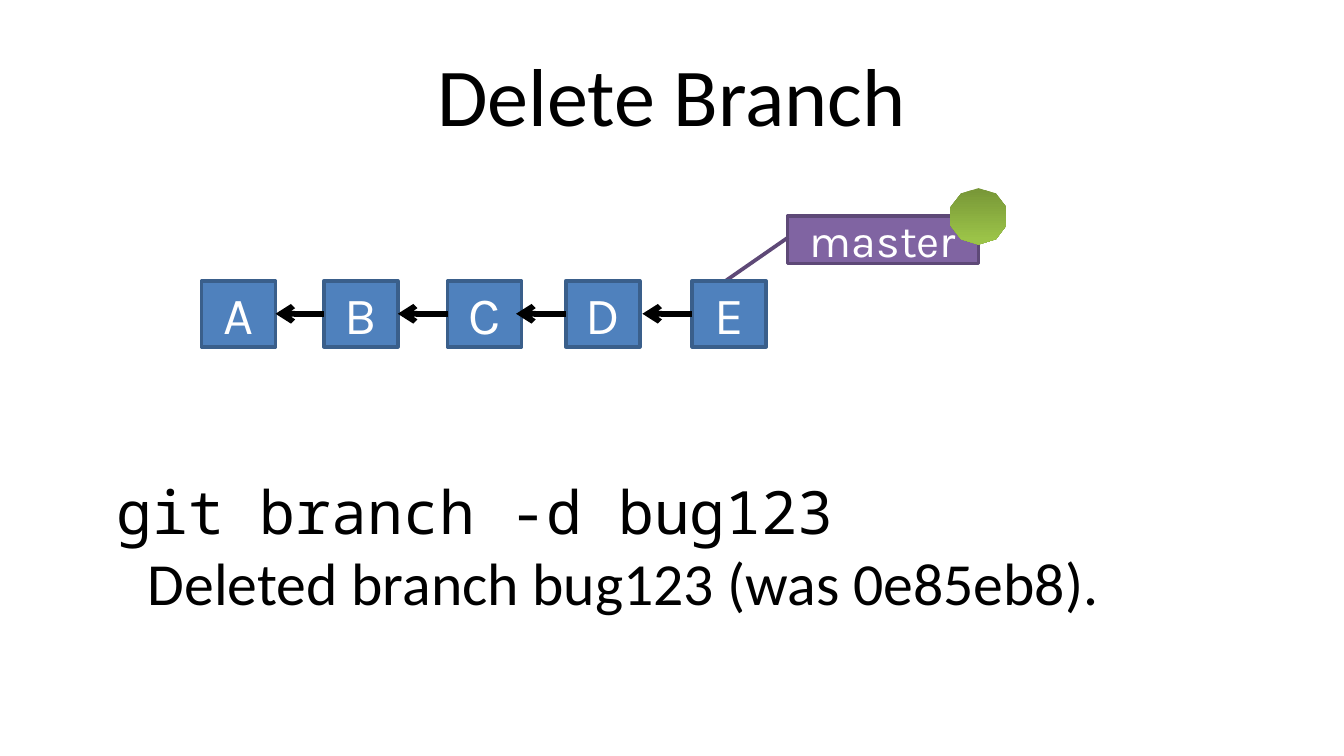
"""Build the slide that shows the commit graph after deleting a branch."""
from lxml import etree
from pptx import Presentation
from pptx.dml.color import RGBColor
from pptx.enum.shapes import MSO_CONNECTOR, MSO_SHAPE
from pptx.enum.text import MSO_ANCHOR, MSO_AUTO_SIZE, PP_ALIGN
from pptx.oxml.ns import qn
from pptx.util import Inches, Pt

RECTANGLE, CALLOUT, STAR = MSO_SHAPE.RECTANGLE, MSO_SHAPE.LINE_CALLOUT_1, MSO_SHAPE.STAR_5_POINT
STRAIGHT = MSO_CONNECTOR.STRAIGHT
LEFT, CENTER = PP_ALIGN.LEFT, PP_ALIGN.CENTER
TOP, MIDDLE = MSO_ANCHOR.TOP, MSO_ANCHOR.MIDDLE
NO_FIT = MSO_AUTO_SIZE.NONE

BLACK = RGBColor(0x00, 0x00, 0x00)
WHITE = RGBColor(0xFF, 0xFF, 0xFF)
BLUE = RGBColor(0x4F, 0x81, 0xBD)
DARK_BLUE = RGBColor(0x3A, 0x5F, 0x8B)
PURPLE = RGBColor(0x80, 0x64, 0xA2)
DARK_PURPLE = RGBColor(0x5E, 0x49, 0x77)
GREENS = (RGBColor(0x77, 0x96, 0x37), RGBColor(0x9B, 0xC3, 0x48))

TITLE = "Delete Branch"
BODY = [(" git branch -d bug123", "Noto Sans Mono"),
        ("\tDeleted branch bug123 (was 0e85eb8).", "Calibri")]
BRANCH = "master"
COMMITS = [("A", 1.5), ("B", 2.41), ("C", 3.33), ("D", 4.21), ("E", 5.15)]
COMMIT_TOP, COMMIT_WIDTH, COMMIT_HEIGHT = 2.09, 0.55, 0.49
ARROW_LENGTH, JOIN_DISTANCE = Inches(0.37), Inches(0.015)
CALLOUT_LINE = (0.446, 0.004, 1.383, -0.329)
STAR_DEPTH = 1.106


def write(para, text, *, size, font, color=BLACK, align=LEFT):
    para.alignment = align
    para.space_before = Pt(0)
    span = para.add_run()
    span.text = text
    span.font.size = Pt(size)
    span.font.name = font
    span.font.color.rgb = color


def place(box, left, top, width, height, anchor):
    box.left, box.top = Inches(left), Inches(top)
    box.width, box.height = Inches(width), Inches(height)
    box.text_frame.auto_size = NO_FIT
    box.text_frame.vertical_anchor = anchor


def replace_bullet_with_tab(para):
    properties = para._p.get_or_add_pPr()
    properties.set("marL", "0")
    properties.set("indent", "0")
    etree.SubElement(properties, qn("a:buNone"))
    tabs = etree.SubElement(properties, qn("a:tabLst"))
    etree.SubElement(tabs, qn("a:tab"), pos=str(Inches(1)), algn="l")


def add_shape(page, kind, left, top, width, height):
    shape = page.shapes.add_shape(kind, Inches(left), Inches(top), Inches(width), Inches(height))
    shape.shadow.inherit = False
    return shape


def add_label(page, kind, text, left, top, width, height, *, size, fill, line):
    box = add_shape(page, kind, left, top, width, height)
    box.fill.solid()
    box.fill.fore_color.rgb = fill
    box.line.color.rgb = line
    box.line.width = Pt(2)
    box.text_frame.vertical_anchor = MIDDLE
    write(box.text_frame.paragraphs[0], text, size=size, font="Karla", color=WHITE, align=CENTER)
    return box


def add_arrow(page, child, parent):
    middle = child.top + child.height // 2
    tip = child.left - ARROW_LENGTH
    arrow = page.shapes.add_connector(STRAIGHT, child.left, middle, tip, middle)
    arrow.begin_connect(child, 1)
    if abs(tip - parent.left - parent.width) < JOIN_DISTANCE:
        arrow.end_connect(parent, 3)
    arrow.line.color.rgb = BLACK
    arrow.line.width = Pt(3)
    etree.SubElement(arrow.line._get_or_add_ln(), qn("a:tailEnd"), type="arrow")
    etree.SubElement(arrow._element.spPr, qn("a:effectLst"))


def main():
    deck = Presentation()
    deck.slide_width = Inches(10)
    deck.slide_height = deck.slide_width * 9 // 16
    page = deck.slides.add_slide(deck.slide_layouts[1])

    title, body = page.placeholders
    place(title, 0.5, 0.23, 9, 0.94, MIDDLE)
    write(title.text_frame.paragraphs[0], TITLE, size=44, font="Calibri", align=CENTER)

    place(body, 0.5, 3.48, 9, 1.54, TOP)
    frame = body.text_frame
    for index, (text, font) in enumerate(BODY):
        para = frame.add_paragraph() if index else frame.paragraphs[0]
        replace_bullet_with_tab(para)
        write(para, text, size=32, font=font)

    branch = add_label(page, CALLOUT, BRANCH, 5.86, 1.61, 1.42, 0.35,
                       size=24, fill=PURPLE, line=DARK_PURPLE)
    for index, value in enumerate(CALLOUT_LINE):
        branch.adjustments[index] = value

    parent = None
    for name, left in COMMITS:
        commit = add_label(page, RECTANGLE, name, left, COMMIT_TOP, COMMIT_WIDTH, COMMIT_HEIGHT,
                           size=28, fill=BLUE, line=DARK_BLUE)
        if parent is not None:
            add_arrow(page, commit, parent)
        parent = commit

    star = add_shape(page, STAR, 7.07, 1.4, 0.42, 0.38)
    star.adjustments[0] = STAR_DEPTH
    star.line.fill.background()
    star.fill.gradient()
    star.fill.gradient_angle = 270
    for stop, color, position in zip(star.fill.gradient_stops, GREENS, (0, 1)):
        stop.color.rgb = color
        stop.position = position

    deck.save("out.pptx")


if __name__ == "__main__":
    main()
